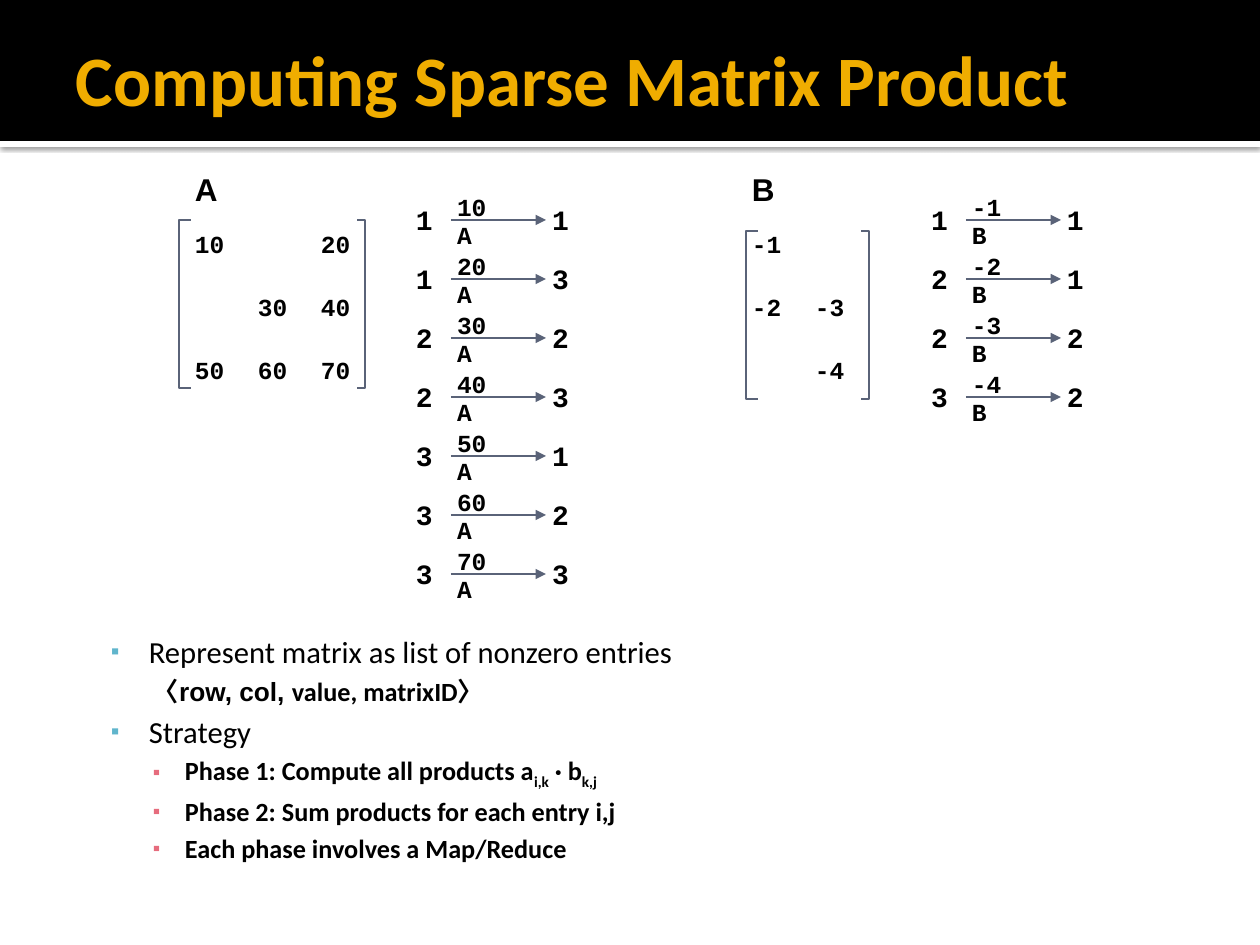
from lxml.etree import SubElement
from pptx import Presentation
from pptx.dml.color import RGBColor as Rgb
from pptx.enum.shapes import MSO_CONNECTOR as Conn, MSO_SHAPE as Shape
from pptx.enum.text import MSO_ANCHOR as Anchor, PP_ALIGN as Align
from pptx.oxml.ns import qn
from pptx.util import Pt

SCALE = 914400 / 126
COLORS = {
    "black": "000000", "white": "FFFFFF", "gold": "F0AD00",
    "slate": "5A6378", "blue": "60B5CC", "rose": "E66C7D",
}
CELL = 63
PITCH = 59
A = [["10", "", "20"], ["", "30", "40"], ["50", "60", "70"]]
B = [["-1", ""], ["-2", "-3"], ["", "-4"]]
LEVELS = {
    1: dict(left=101, hang=38, size=17.5, bold=False, bullet="blue"),
    2: dict(left=137, hang=32, size=15, bold=True, bullet="rose"),
}
NOTES = [
    (1, True, [("Represent matrix as list of nonzero entries", "Calibri", 0)]),
    (2, False, [("〈", "Calibri", 0), ("row, col, ", "Arial", 0),
                ("value, matrixID〉", "Calibri", 0)]),
    (1, True, [("Strategy", "Calibri", 0)]),
    (2, True, [("Phase 1: Compute all products a", "Calibri", 0), ("i,k", "Calibri", -25000),
               (" · b", "Calibri", 0), ("k,j", "Calibri", -25000)]),
    (2, True, [("Phase 2: Sum products for each entry i,j", "Calibri", 0)]),
    (2, True, [("Each phase involves a Map/Reduce", "Calibri", 0)]),
]


def px(n):
    return round(n * SCALE)


def rgb(name):
    return Rgb.from_string(COLORS[name])


def set_frame(frame, pads, anchor):
    frame.word_wrap = True
    frame.vertical_anchor = anchor
    (frame.margin_left, frame.margin_top,
     frame.margin_right, frame.margin_bottom) = map(px, pads)


def add_run(para, text, size, font, bold=True, color="black"):
    run = para.add_run()
    run.text = text
    run.font.size = Pt(size)
    run.font.name = font
    run.font.bold = bold
    run.font.color.rgb = rgb(color)
    return run


def add_label(parent, text, x, y, w, h, size, font="Courier New", anchor=Anchor.MIDDLE):
    box = parent.add_textbox(px(x), px(y), px(w), px(h))
    set_frame(box.text_frame, (6, 6, 6, 6), anchor)
    para = box.text_frame.paragraphs[0]
    para.line_spacing = 0.9
    add_run(para, text, size, font)


def add_bar(shapes, y, h, color):
    bar = shapes.add_shape(Shape.RECTANGLE, 0, px(y), px(1260), px(h))
    bar.shadow.inherit = False
    bar.fill.solid()
    bar.fill.fore_color.rgb = rgb(color)
    bar.line.fill.background()
    return bar


def add_shade(bar):
    effects = bar._element.spPr.find(qn("a:effectLst"))
    shade = SubElement(effects, qn("a:outerShdw"), blurRad=str(Pt(2.5)),
                       dist=str(Pt(0.8)), dir="5400000", algn="t", rotWithShape="0")
    tint = SubElement(shade, qn("a:srgbClr"), val=COLORS["black"])
    SubElement(tint, qn("a:alpha"), val="60000")


def add_title(slide, text):
    title = slide.shapes.title
    slide.shapes._spTree.append(title._element)
    title.left, title.top, title.width, title.height = map(px, (63, 10, 1134, 136))
    set_frame(title.text_frame, (13, 6, 6, 6), Anchor.MIDDLE)
    para = title.text_frame.paragraphs[0]
    para.alignment = Align.LEFT
    add_run(para, text, 40.5, "Calibri", color="gold")


def add_bullet(props, color):
    tint = SubElement(props, qn("a:buClr"))
    SubElement(tint, qn("a:srgbClr"), val=COLORS[color])
    SubElement(props, qn("a:buSzPct"), val="80000")
    SubElement(props, qn("a:buFont"), typeface="Arial")
    SubElement(props, qn("a:buChar"), char="▪")


def add_notes(shapes):
    box = shapes.add_textbox(px(40), px(620), px(1144), px(226))
    frame = box.text_frame
    set_frame(frame, (8, 13, 13, 6), Anchor.TOP)
    for i, (level, marked, runs) in enumerate(NOTES):
        style = LEVELS[level]
        para = frame.add_paragraph() if i else frame.paragraphs[0]
        para.level = level - 1
        para.space_before = Pt(style["size"] * 0.2)
        props = para._p.get_or_add_pPr()
        props.set("marL", str(px(style["left"])))
        props.set("indent", str(-px(style["hang"])))
        if marked:
            add_bullet(props, style["bullet"])
        for text, font, base in runs:
            run = add_run(para, text, style["size"], font, style["bold"])
            if base:
                run.font._element.set("baseline", str(base))


def add_matrix(shapes, name, rows, x):
    parent = shapes.add_group_shape().shapes
    for r, row in enumerate(rows):
        for c, value in enumerate(row):
            if value:
                add_label(parent, value, x + c * CELL, 214 + r * CELL, CELL, CELL, 14)
    add_label(parent, name, x, 168, len(rows[0]) * CELL, 47, 18, "Arial", Anchor.TOP)


def add_arrow(parent, x, y, length):
    arrow = parent.add_connector(Conn.STRAIGHT, px(x), px(y), px(x + length), px(y))
    arrow.line.color.rgb = rgb("slate")
    arrow.line.width = Pt(1.5)
    SubElement(arrow.line._get_or_add_ln(), qn("a:tailEnd"), type="triangle")
    SubElement(arrow._element.spPr, qn("a:effectLst"))


def add_entries(shapes, name, rows, x):
    parent = shapes.add_group_shape().shapes
    cells = [(r, c, value) for r, row in enumerate(rows, 1)
             for c, value in enumerate(row, 1) if value]
    for i, (r, c, value) in enumerate(cells):
        y = 220 + i * PITCH
        add_arrow(parent, x + 41, y, 95)
        add_label(parent, str(r), x, y - 20, 42, 43, 16)
        add_label(parent, str(c), x + 136, y - 20, 42, 43, 16)
        add_label(parent, value, x + 41, y - 31, 95, 39, 14)
        add_label(parent, name, x + 41, y - 3, 95, 39, 14)


def add_bracket(shapes, tip, edge, y):
    low = y + 168
    pen = shapes.build_freeform(tip, y, scale=SCALE)
    pen.add_line_segments([(edge, y), (edge, low), (tip, low)], close=False)
    form = pen.convert_to_shape()
    form.shadow.inherit = False
    form.fill.background()
    form.line.color.rgb = rgb("slate")
    form.line.width = Pt(1.5)


def main():
    deck = Presentation()
    deck.slide_width, deck.slide_height = px(1260), px(945)
    slide = deck.slides.add_slide(deck.slide_layouts[5])
    shapes = slide.shapes
    add_shade(add_bar(shapes, 141, 6, "white"))
    add_bar(shapes, 0, 141, "black")
    add_title(slide, "Computing Sparse Matrix Product")
    add_notes(shapes)
    for name, rows, x in (("A", A, 189), ("B", B, 746)):
        add_matrix(shapes, name, rows, x)
    for name, rows, x in (("A", A, 410), ("B", B, 925)):
        add_entries(shapes, name, rows, x)
    for tip, edge, y in ((191, 179, 220), (758, 746, 231), (357, 365, 220), (861, 869, 231)):
        add_bracket(shapes, tip, edge, y)
    deck.save("out.pptx")


if __name__ == "__main__":
    main()
